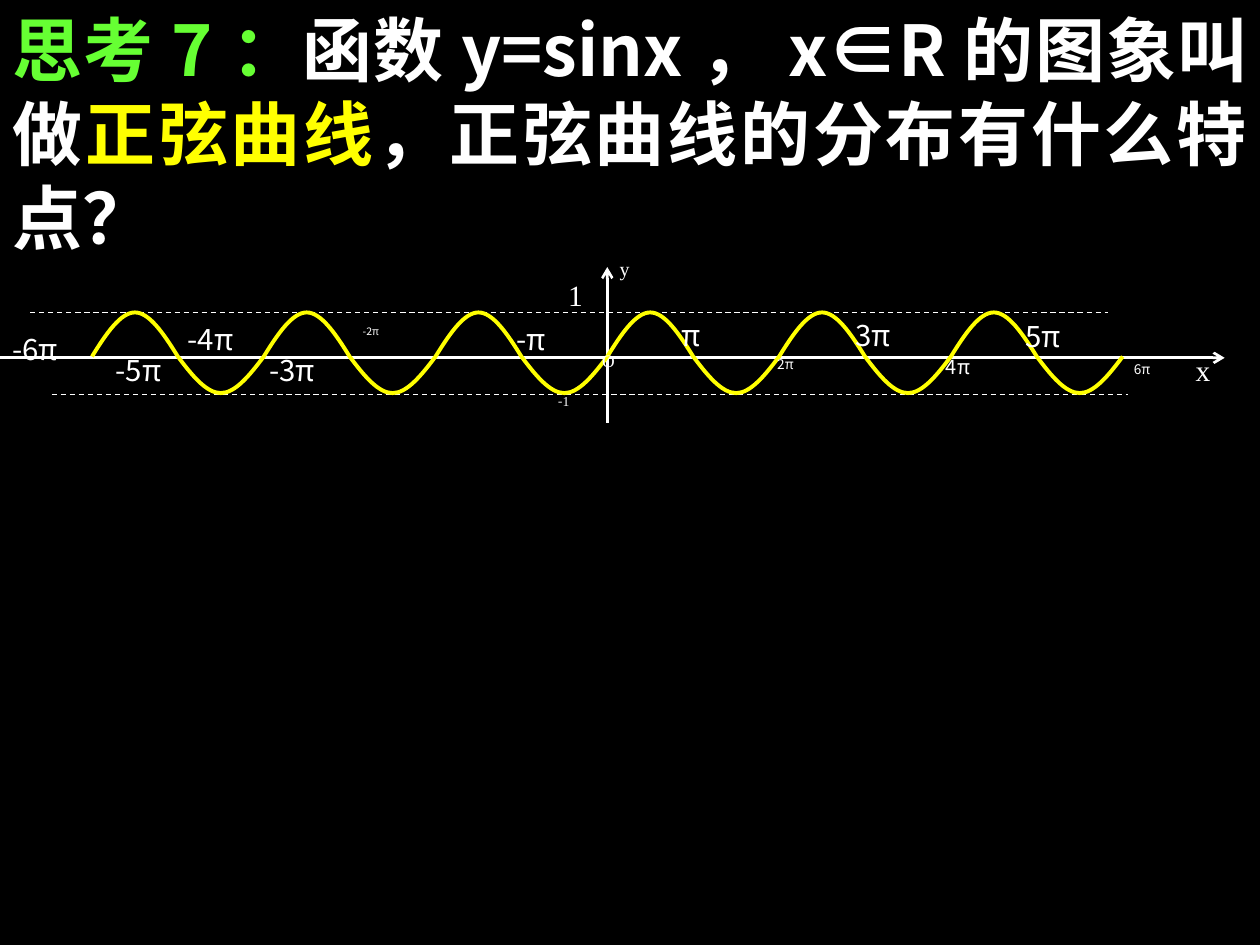
"""Builds a slide showing the sine curve from -6π to 6π."""
from math import cos, pi, sin

from lxml.etree import SubElement
from pptx import Presentation
from pptx.dml.color import RGBColor
from pptx.enum.dml import MSO_LINE
from pptx.enum.shapes import MSO_CONNECTOR
from pptx.enum.text import MSO_ANCHOR, MSO_AUTO_SIZE, PP_ALIGN
from pptx.oxml.ns import qn
from pptx.util import Inches, Pt

SANS, SERIF = "Noto Sans CJK SC", "Times New Roman"
WHITE, YELLOW, GREEN, BLACK = "FFFFFF", "FFFF00", "66FF33", "000000"
color = RGBColor.from_string


def format_text(frame, size, font, spacing):
    frame.word_wrap = True
    frame.vertical_anchor = MSO_ANCHOR.TOP
    paragraph = frame.paragraphs[0]
    paragraph.alignment = PP_ALIGN.JUSTIFY
    paragraph.line_spacing = spacing
    paragraph.font.size = Pt(size)
    paragraph.font.name = font
    paragraph.font.color.rgb = color(WHITE)
    defaults = paragraph._p.pPr.find(qn("a:defRPr"))
    SubElement(defaults, qn("a:ea")).set("typeface", font)
    return paragraph


prs = Presentation()
prs.slide_width, prs.slide_height = Inches(10), Inches(7.5)
col = row = prs.slide_width / 100
slide = prs.slides.add_slide(prs.slide_layouts[5])
slide.background.fill.solid()
slide.background.fill.fore_color.rgb = color(BLACK)

question = slide.shapes.title
question.left, question.top = 0, 0
question.width, question.height = prs.slide_width, int(21 * row)
question.text_frame.auto_size = MSO_AUTO_SIZE.SHAPE_TO_FIT_TEXT
wording = format_text(question.text_frame, 40, SANS, 1.0)
wording.font.bold = True
for text, tint in [
    ("思考7：", GREEN),
    ("函数y=sinx，x∈R的图象叫做", WHITE),
    ("正弦曲线", YELLOW),
    ("，正弦曲线的分布有什么特点？", WHITE),
]:
    part = wording.add_run()
    part.text = text
    part.font.color.rgb = color(tint)

origin, axis = 48.2, 28.4
for x1, y1, x2, y2, arrow_end in [
    (0, axis, 97.2, axis, "a:tailEnd"),
    (origin, 21.2, origin, 33.6, "a:headEnd"),
    (4.1, 31.3, 89.5, 31.3, None),
    (2.4, 24.8, 87.9, 24.8, None),
]:
    rule = slide.shapes.add_connector(
        MSO_CONNECTOR.STRAIGHT, int(x1 * col), int(y1 * row), int(x2 * col), int(y2 * row))
    rule.line.color.rgb = color(WHITE)
    rule.line.width = Pt(1.5 if arrow_end else 0.75)
    if arrow_end:
        SubElement(rule.line._get_or_add_ln(), qn(arrow_end)).set("type", "arrow")
    else:
        rule.line.dash_style = MSO_LINE.DASH
    SubElement(rule._element.spPr, qn("a:effectLst"))

half_width, quarters, middle = 40.9, 12, 28.3
quarter = half_width / quarters
for start in (origin, origin - half_width):
    points = []
    for index in range(quarters):
        a, b = index * pi / 2, (index + 1) * pi / 2
        amplitude = 3.5 if index % 4 < 2 else 2.9
        heights = (sin(a) + cos(a) * pi / 6, sin(b) - cos(b) * pi / 6, sin(b))
        for third, height in enumerate(heights, 1):
            x = start + (index + third / 3) * quarter
            points.append((x * col, (middle - amplitude * height) * row))
    builder = slide.shapes.build_freeform(start * col, middle * row)
    builder.add_line_segments(points, close=False)
    curve = builder.convert_to_shape()
    outline = next(curve._element.iter(qn("a:path")))
    for index, segment in enumerate(outline.findall(qn("a:lnTo"))):
        if index % 3 == 0:
            bezier = SubElement(outline, qn("a:cubicBezTo"))
        bezier.append(segment[0])
        outline.remove(segment)
    curve.fill.background()
    curve.line.color.rgb = color(YELLOW)
    curve.line.width = Pt(2.25)
    curve.shadow.inherit = False

for text, x, y, width, height, size, font in [
    ("y", 48.2, 20.2, 4.9, 2.9, 11.4, SERIF),
    ("-", 43.3, 30.9, 8.2, 2.5, 7.8, SANS),
    ("x", 93.9, 28, 6.1, 4.1, 16.8, SERIF),
    ("O", 46.8, 27.3, 6.2, 4.1, 10, SERIF),
    ("1", 44.1, 22, 6.1, 4.1, 16.8, SERIF),
    ("π", 53.1, 25.2, 6.1, 4.1, 16.8, SANS),
    ("2π", 60.7, 28, 7.8, 2.5, 7.8, SANS),
    ("3π", 66.9, 25.2, 8.2, 4.1, 16.8, SANS),
    ("4π", 74.1, 28, 8.6, 2.9, 11.4, SANS),
    ("5π", 80.4, 25.3, 10.2, 4.1, 16.8, SANS),
    ("6π", 89, 28.4, 8.2, 2.5, 7.8, SANS),
    ("-2π", 27.8, 25.5, 10.6, 2.2, 6, SANS),
    ("-3π", 20.4, 28, 11.2, 4.1, 16.8, SANS),
    ("-4π", 13.9, 25.5, 10.2, 4.1, 16.8, SANS),
    ("-5π", 8.2, 28, 10.1, 4.1, 16.8, SANS),
    ("-6π", 0, 26.3, 10.6, 4.1, 16.8, SANS),
    ("-π", 40, 25.5, 8.2, 4.1, 16.8, SANS),
]:
    label = slide.shapes.add_textbox(
        int(x * col), int(y * row), int(width * col), int(height * row))
    label.text_frame.text = text
    value = format_text(label.text_frame, size, font, 1.0 if text == "O" else 0.8)
    if text == "-":
        digit = value.add_run()
        digit.text = "1"
        digit.font.name = SERIF

prs.save("out.pptx")
